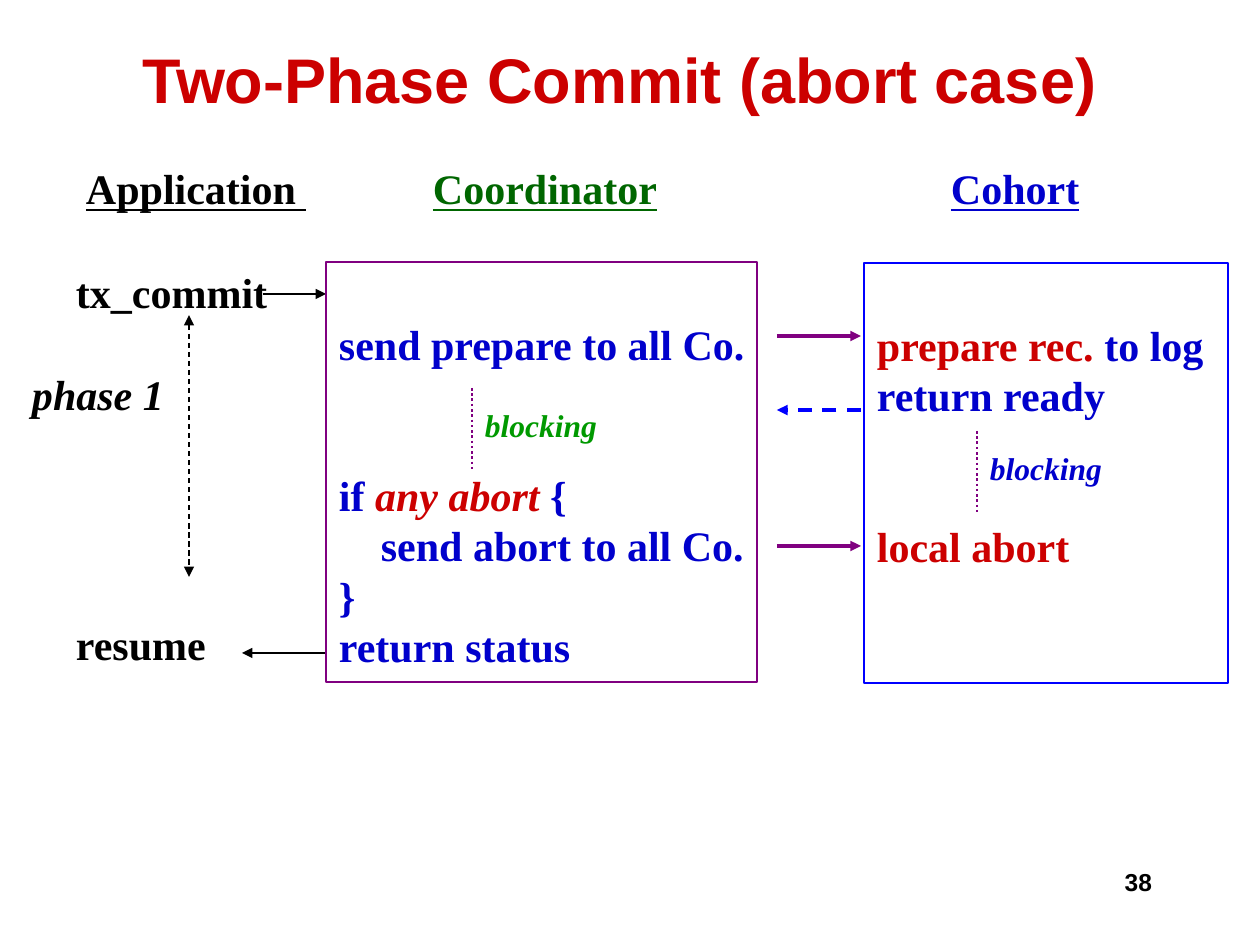
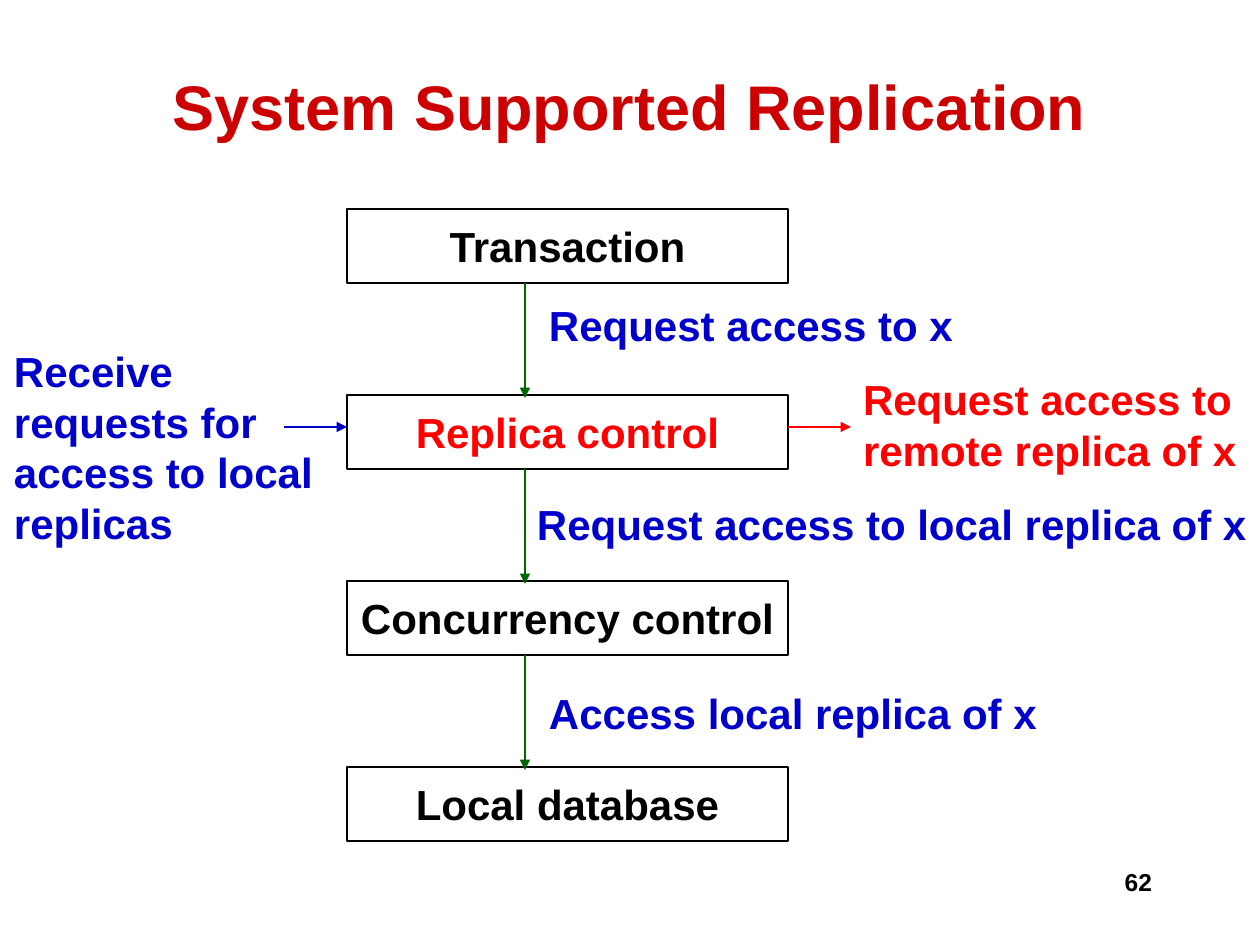
from dataclasses import dataclass
from typing import NamedTuple

from lxml.etree import SubElement
from pptx import Presentation
from pptx.dml.color import RGBColor
from pptx.enum.dml import MSO_LINE as Dash
from pptx.enum.shapes import MSO_CONNECTOR as Conn, MSO_SHAPE as Shape
from pptx.enum.text import MSO_ANCHOR as Anchor, PP_ALIGN as Align
from pptx.oxml.ns import qn
from pptx.util import Emu, Pt

EMU_PX = 914400 / 126


@dataclass(frozen=True)
class Theme:
    black: str = "000000"
    white: str = "FFFFFF"
    crimson: str = "CC0000"
    red: str = "FF0000"
    navy: str = "0000CC"
    blue: str = "0000FF"
    green: str = "006600"
    leaf: str = "009900"
    purple: str = "800080"
    sans: str = "Arial"
    serif: str = "Times New Roman"
    title: int = 36
    body: int = 24
    note: int = 18
    page: int = 14
    thin: float = 0.75
    dots: float = 1.5
    thick: float = 2
    leading: float = 1.2


T = Theme()


class Box(NamedTuple):
    x: int
    y: int
    w: int
    h: int

    def inner(self, x, y, w, h):
        return Box(self.x + x, self.y + y, w, h)


class Run(NamedTuple):
    text: str
    color: str
    italic: bool = False
    under: bool = False


class Line(NamedTuple):
    """A paragraph: its runs, and how many empty line heights stand above it."""
    runs: list
    skip: int = 0


def px(*sizes):
    return [Emu(round(s * EMU_PX)) for s in sizes]


def rgb(color):
    return RGBColor.from_string(color)


def fill_text(shape, lines, font, size, align=Align.LEFT, mid=False, top=6):
    frame = shape.text_frame
    frame.word_wrap = True
    left, right = {Align.LEFT: (13, 0), Align.RIGHT: (0, 13), Align.CENTER: (0, 0)}[align]
    (frame.margin_left, frame.margin_top,
     frame.margin_right, frame.margin_bottom) = px(left, top, right, 6)
    frame.vertical_anchor = Anchor.MIDDLE if mid else Anchor.TOP
    step = size * T.leading
    for i, line in enumerate(lines):
        para = frame.add_paragraph() if i else frame.paragraphs[0]
        para.alignment = align
        para.line_spacing = Pt(step)
        para.space_before = Pt(step * line.skip)
        for part in line.runs:
            run = para.add_run()
            run.text = part.text
            face = run.font
            face.name, face.size, face.bold = font, Pt(size), True
            face.italic, face.underline = part.italic, part.under
            face.color.rgb = rgb(part.color)


def add_text(slide, box, lines, font=T.serif, size=T.body, **style):
    fill_text(slide.shapes.add_textbox(*px(*box)), lines, font, size, **style)


def add_box(slide, box, edge, lines, font, fill=None, **style):
    rect = slide.shapes.add_shape(Shape.RECTANGLE, *px(*box))
    rect.shadow.inherit = False
    if fill:
        rect.fill.solid()
        rect.fill.fore_color.rgb = rgb(fill)
    else:
        rect.fill.background()
    rect.line.color.rgb = rgb(edge)
    rect.line.width = Pt(T.thin)
    fill_text(rect, lines, font, T.body, **style)


def add_line(slide, start, end, color, width=T.thin, dash=None, tips=("tailEnd",)):
    link = slide.shapes.add_connector(Conn.STRAIGHT, *px(*start, *end))
    link.line.color.rgb = rgb(color)
    link.line.width = Pt(width)
    if dash:
        link.line.dash_style = dash
    props = link.line._get_or_add_ln()
    for tip in tips:
        SubElement(props, qn(f"a:{tip}"), type="triangle")
    SubElement(props.getparent(), qn("a:effectLst"))


def add_slide(deck, title, box, number):
    """Start a slide with the shared title style and page number."""
    slide = deck.slides.add_slide(deck.slide_layouts[6])
    add_text(slide, box, [Line([Run(title, T.crimson)])], T.sans, T.title,
             align=Align.CENTER, mid=True)
    add_text(slide, Box(903, 861, 262, 63), [Line([Run(number, T.black)])],
             T.sans, T.page, align=Align.RIGHT)
    return slide


def heads(slide, box):
    for x, name, color in ((0, "Application ", T.black),
                           (347, "Coordinator", T.green),
                           (865, "Cohort", T.navy)):
        add_text(slide, box.inner(x, 0, 280, box.h),
                 [Line([Run(name, color, under=True)])])


def wait(slide, x, y, color):
    """Dotted stretch of time with its label."""
    add_line(slide, (x, y), (x, y + 83), T.purple, T.dots, Dash.ROUND_DOT, tips=())
    add_text(slide, Box(x, y + 12, 178, 50), [Line([Run("blocking", color, True)])],
             size=T.note)


def client(slide, box):
    add_text(slide, box.inner(44, 0, 217, box.h),
             [Line([Run("tx_commit", T.black)]), Line([Run("resume", T.black)], 6)])
    add_text(slide, box.inner(0, 103, 158, 63), [Line([Run("phase 1", T.black, True)])])
    x, y = box.x + 170, box.y + 55
    add_line(slide, (x, y), (x, y + 262), T.black, dash=Dash.DASH,
             tips=("headEnd", "tailEnd"))
    edge = box.x + box.w
    add_line(slide, (edge - 63, box.y + 34), (edge, box.y + 34), T.black)
    add_line(slide, (edge, box.y + 393), (edge - 84, box.y + 393), T.black)


def leader(slide, box):
    add_box(slide, box, T.purple, [
        Line([Run("send prepare to all Co.", T.navy)]),
        Line([Run("if ", T.navy), Run("any abort ", T.crimson, True),
              Run("{", T.navy)], 2),
        Line([Run("    send abort to all Co.", T.navy)]),
        Line([Run("}", T.navy)]),
        Line([Run("return status", T.navy)]),
    ], T.serif, top=56)
    wait(slide, box.x + 146, box.y + 126, T.leaf)


def cohort(slide, box):
    add_box(slide, box, T.blue, [
        Line([Run("prepare rec.", T.crimson), Run(" to log", T.navy)]),
        Line([Run("return ready", T.navy)]),
        Line([Run("local abort", T.crimson)], 2),
    ], T.serif, T.white, top=56)
    wait(slide, box.x + 113, box.y + 168, T.navy)


def messages(slide, box):
    left, right = box.x, box.x + box.w
    for y in (0, box.h):
        add_line(slide, (left, box.y + y), (right, box.y + y), T.purple, T.thick)
    y = box.y + 74
    add_line(slide, (right, y), (left, y), T.blue, T.thick, Dash.DASH)


def commit_slide(deck):
    slide = add_slide(deck, "Two-Phase Commit (abort case)", Box(42, 0, 1155, 157), "38")
    heads(slide, Box(73, 157, 1145, 63))
    client(slide, Box(19, 260, 307, 470))
    leader(slide, Box(326, 262, 431, 420))
    cohort(slide, Box(864, 263, 364, 420))
    messages(slide, Box(777, 336, 84, 210))


def layers(slide, box):
    """Stack of stages, with an arrow from each to the next."""
    step, high = 186, 74
    names = ("Transaction", "Replica control", "Concurrency control", "Local database")
    for i, name in enumerate(names):
        color = T.red if name == "Replica control" else T.black
        add_box(slide, box.inner(0, i * step, box.w, high), T.black,
                [Line([Run(name, color)])], T.sans, T.white,
                align=Align.CENTER, mid=True)
    steps = (("Request access to x", 189, 85),
             ("Request access to local replica of x", 177, 98),
             ("Access local replica of x", 189, 101))
    x = box.x + 178
    for i, (label, left, drop) in enumerate(steps):
        y = box.y + i * step
        add_line(slide, (x, y + high), (x, y + step + 3), T.green)
        add_text(slide, box.inner(left, i * step + drop, 735, 63),
                 [Line([Run(label, T.navy)])], T.sans)


def peers(slide, box):
    """Traffic that enters and leaves the replica stage beside the box."""
    right = box.x + box.w
    add_line(slide, (box.x - 63, box.y + 32), (box.x, box.y + 32), T.navy)
    add_line(slide, (right, box.y + 32), (right + 63, box.y + 32), T.red)
    sides = ((Box(1, box.y - 55, 357, 217), T.navy,
              ("Receive requests for", "access to local replicas")),
             (Box(right + 62, box.y - 27, 398, 115), T.red,
              ("Request access to", "remote replica of x")))
    for area, color, words in sides:
        add_text(slide, area, [Line([Run(w, color)]) for w in words], T.sans)


def replica_slide(deck):
    slide = add_slide(deck, "System Supported Replication", Box(94, 53, 1071, 105), "62")
    layers(slide, Box(347, 209, 441, 632))
    peers(slide, Box(347, 395, 441, 74))


def main():
    deck = Presentation()
    deck.slide_width, deck.slide_height = px(1260, 945)
    commit_slide(deck)
    replica_slide(deck)
    deck.save("out.pptx")


if __name__ == "__main__":
    main()
